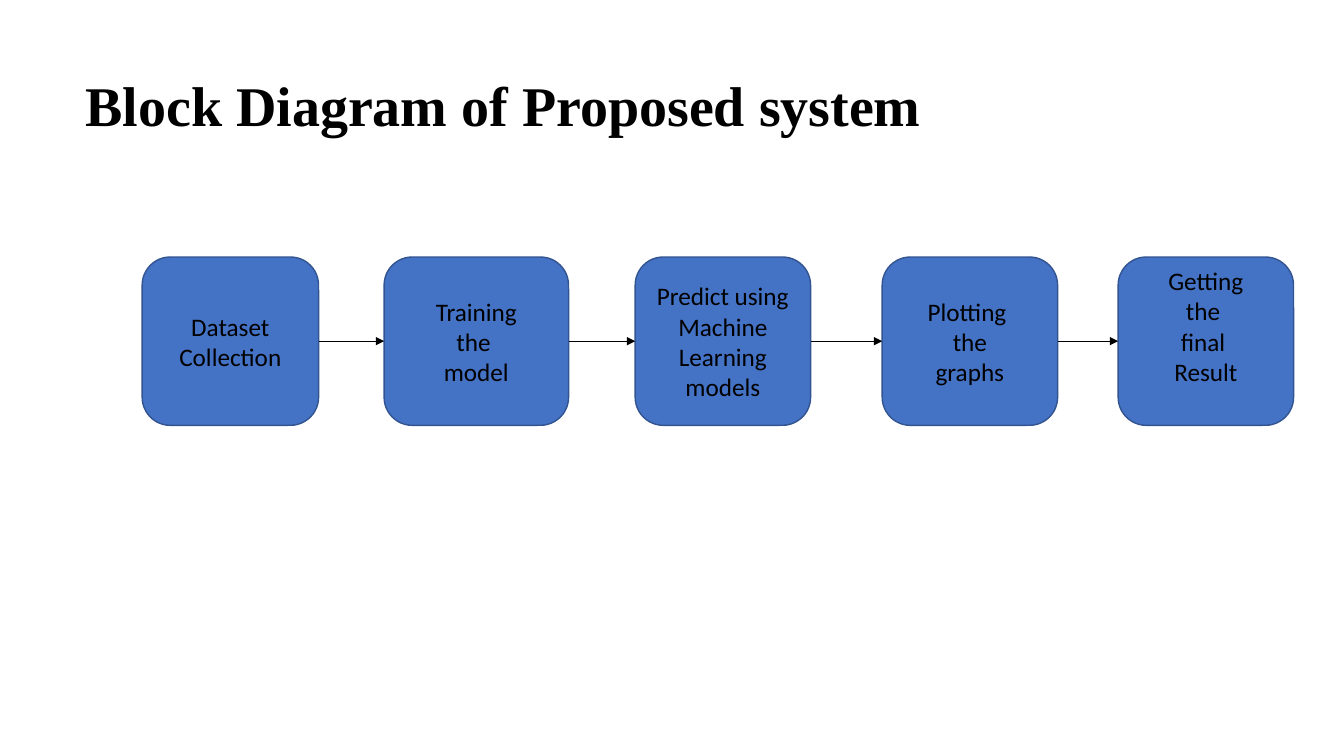
from dataclasses import dataclass
from itertools import pairwise

from lxml.etree import SubElement
from pptx import Presentation
from pptx.dml.color import RGBColor
from pptx.enum.shapes import MSO_CONNECTOR, MSO_SHAPE
from pptx.enum.text import MSO_ANCHOR, PP_ALIGN
from pptx.oxml.ns import qn
from pptx.util import Inches, Pt


@dataclass(frozen=True)
class Theme:
    ink: RGBColor = RGBColor(0x00, 0x00, 0x00)
    block_fill: RGBColor = RGBColor(0x44, 0x72, 0xC4)
    block_line: RGBColor = RGBColor(0x32, 0x54, 0x91)
    title_font: str = "Times New Roman"
    title_size: Pt = Pt(40)
    block_font: str = "Calibri"
    block_size: Pt = Pt(18)
    block_line_width: Pt = Pt(1)
    arrow_width: Pt = Pt(0.5)


THEME = Theme()
RIGHT_SIDE, LEFT_SIDE = 3, 1

# Left offset within the diagram, width, text, bottom inset
STEPS = [
    (0, 1.75, "Dataset\nCollection", 0.05),
    (2.4, 1.83, "Training\nthe \nmodel", 0.05),
    (4.89, 1.74, "Predict using\nMachine\nLearning\nmodels", 0.05),
    (7.34, 1.74, "Plotting \nthe\ngraphs", 0.05),
    (9.68, 1.74, "Getting\nthe \nfinal \nResult", 0.35),
]


def style_text(frame, font, size, bold=False):
    for para in frame.paragraphs:
        for span in para.runs:
            span.font.name = font
            span.font.size = size
            span.font.bold = bold
            span.font.color.rgb = THEME.ink


def add_title(page, left, top, width, height):
    box = page.shapes.add_textbox(Inches(left), Inches(top), Inches(width), Inches(height))
    frame = box.text_frame
    frame.word_wrap = True
    frame.text = "Block Diagram of Proposed system"
    style_text(frame, THEME.title_font, THEME.title_size, bold=True)


def add_block(page, left, top, width, height, text, bottom_inset):
    block = page.shapes.add_shape(
        MSO_SHAPE.ROUNDED_RECTANGLE, Inches(left), Inches(top), Inches(width), Inches(height)
    )
    block.shadow.inherit = False
    block.fill.solid()
    block.fill.fore_color.rgb = THEME.block_fill
    block.line.color.rgb = THEME.block_line
    block.line.width = THEME.block_line_width
    frame = block.text_frame
    frame.word_wrap = True
    frame.vertical_anchor = MSO_ANCHOR.MIDDLE
    frame.margin_bottom = Inches(bottom_inset)
    frame.text = text
    for para in frame.paragraphs:
        para.alignment = PP_ALIGN.CENTER
    style_text(frame, THEME.block_font, THEME.block_size)
    return block


def add_arrow(page, source, target):
    """Join the right side of one block to the left side of the next."""
    arrow = page.shapes.add_connector(MSO_CONNECTOR.STRAIGHT, 0, 0, 0, 0)
    arrow.begin_connect(source, RIGHT_SIDE)
    arrow.end_connect(target, LEFT_SIDE)
    arrow.line.color.rgb = THEME.ink
    arrow.line.width = THEME.arrow_width
    SubElement(arrow.line._get_or_add_ln(), qn("a:tailEnd"), type="triangle")
    SubElement(arrow._element.spPr, qn("a:effectLst"))


def add_diagram(page, left, top, height):
    blocks = [
        add_block(page, left + offset, top, width, height, text, bottom_inset)
        for offset, width, text, bottom_inset in STEPS
    ]
    for source, target in pairwise(blocks):
        add_arrow(page, source, target)


def main():
    deck = Presentation()
    deck.slide_width, deck.slide_height = Inches(13.33), Inches(7.5)
    page = deck.slides.add_slide(deck.slide_layouts[6])
    add_diagram(page, left=1.41, top=2.55, height=1.67)
    add_title(page, left=0.75, top=0.65, width=9.92, height=0.77)
    deck.save("out.pptx")


if __name__ == "__main__":
    main()
